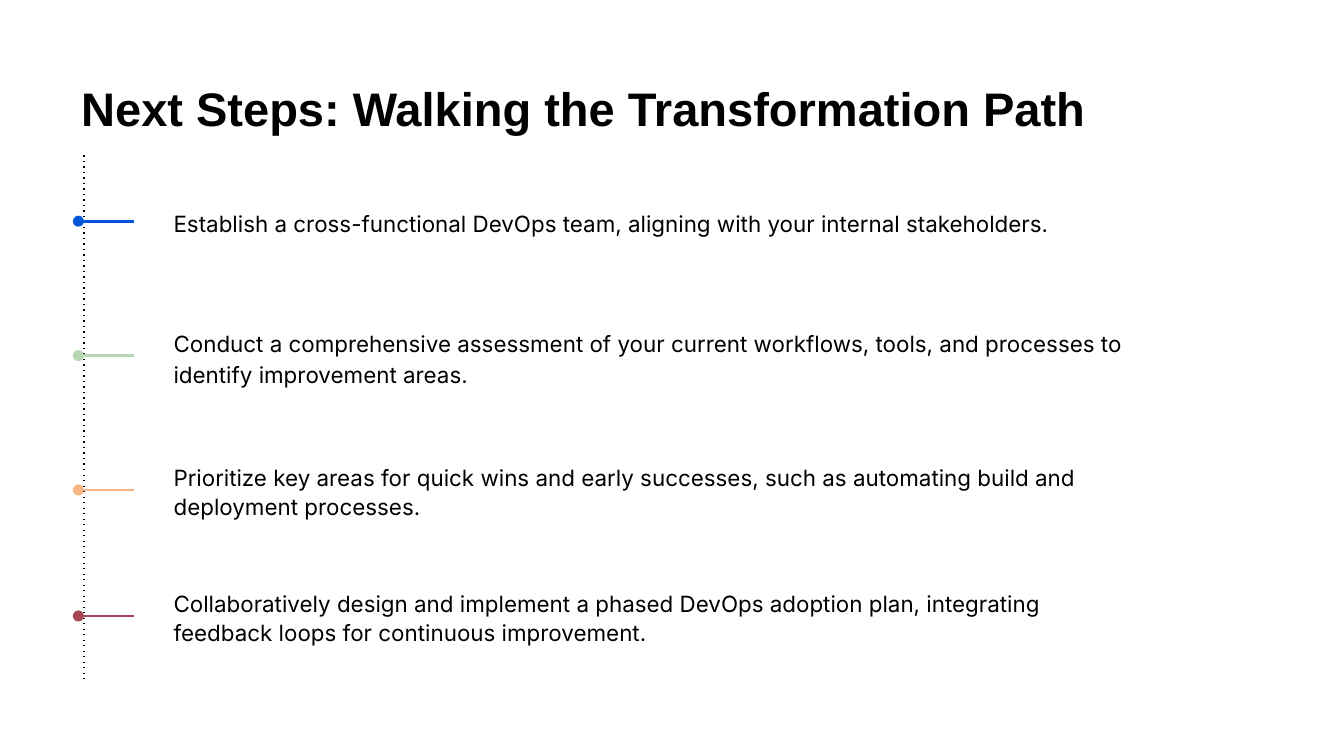
import pptx
import pptx.dml.color
import pptx.enum.shapes
import pptx.enum.text
import pptx.oxml.ns
import pptx.util
from lxml import etree

PX = 9525  # 96 px to the inch

# Top within the timeline, colour, line spacing, text
STEPS = [
    (9, "0254DB", 1.05, "Establish a cross-functional DevOps team, aligning with "
     "your internal stakeholders."),
    (105, "B5D6B2", 1.15, "Conduct a comprehensive assessment of your current workflows, "
     "tools, and processes to identify improvement areas."),
    (201, "F8B484", 1.05, "Prioritize key areas for quick wins and early successes, "
     "such as automating build and deployment processes."),
    (291, "A54657", 1.05, "Collaboratively design and implement a phased DevOps adoption "
     "plan, integrating feedback loops for continuous improvement."),
]


def px(n):
    return pptx.util.Emu(n * PX)


def rgb(color):
    return pptx.dml.color.RGBColor.from_string(color)


def add_line(s, x1, y1, x2, y2, color, width, tag, **attrs):
    """Draw a straight line with one extra a:ln child, such as a dash or an end."""
    sp = s.shapes.add_connector(pptx.enum.shapes.MSO_CONNECTOR.STRAIGHT,
                                px(x1), px(y1), px(x2), px(y2))
    sp.line.color.rgb = rgb(color)
    sp.line.width = pptx.util.Pt(width)
    ln = sp.line._get_or_add_ln()
    etree.SubElement(ln, pptx.oxml.ns.qn(tag), **attrs)
    etree.SubElement(sp._element.spPr, pptx.oxml.ns.qn("a:effectLst"))


def add_text(s, x, y, w, h, text, font, size, bold=False, inset=10, spacing=1.0, after=0):
    tf = s.shapes.add_textbox(px(x), px(y), px(w), px(h)).text_frame
    tf.word_wrap = True
    tf.vertical_anchor = pptx.enum.text.MSO_ANCHOR.MIDDLE
    tf.margin_left = px(inset)
    tf.margin_top = tf.margin_right = tf.margin_bottom = px(10)
    p = tf.paragraphs[0]
    p.line_spacing = spacing
    p.space_after = pptx.util.Pt(after)
    r = p.add_run()
    r.text = text
    r.font.name = font
    r.font.size = pptx.util.Pt(size)
    r.font.bold = bold
    r.font.color.rgb = rgb("000000")


def add_title(s, x, y, w, h):
    add_text(s, x, y, w, h, "Next Steps: Walking the Transformation Path",
             "Arial", 25.2, bold=True)


def add_step(s, x, y, w, h, color, spacing, text):
    """Place a round-headed marker line with its step text to the right."""
    marker = 40
    middle = y + h // 2 - 1
    add_line(s, x, middle, x + marker, middle, color, 1.5, "a:headEnd", type="oval")
    add_text(s, x + marker, y, w - marker, h, text, "Inter", 12,
             inset=28, spacing=spacing, after=10)


def add_timeline(s, x, y, w, h):
    add_line(s, x + 4, y, x + 4, y + h, "000000", 0.75, "a:prstDash", val="dot")
    for top, color, spacing, text in STEPS:
        add_step(s, x, y + top, w, 78, color, spacing, text)


def main():
    prs = pptx.Presentation()
    prs.slide_width, prs.slide_height = px(960), px(540)
    s = prs.slides.add_slide(prs.slide_layouts[6])
    add_title(s, 48, 47, 864, 60)
    add_timeline(s, 56, 111, 760, 377)
    prs.save("out.pptx")


if __name__ == "__main__":
    main()
